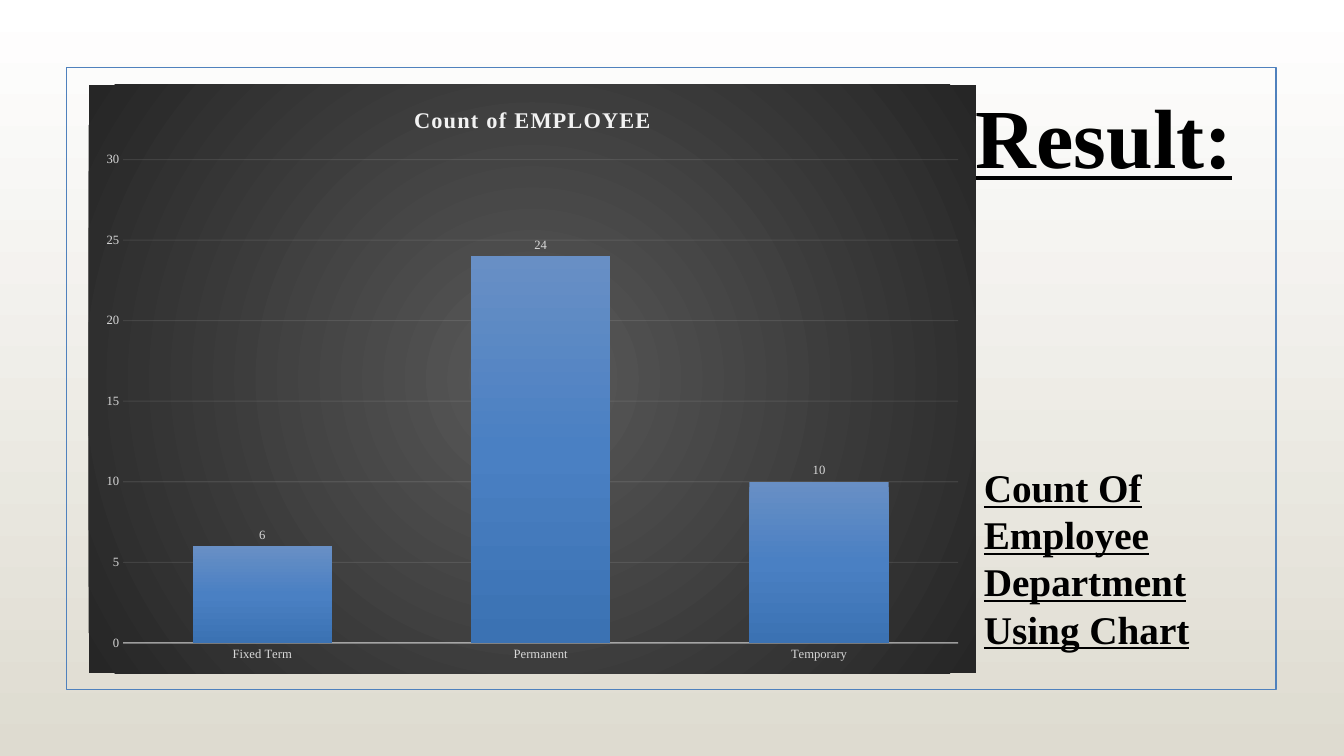
"""Build the result slide: a framed column chart with its heading and caption."""
from dataclasses import dataclass

from lxml import etree
from pptx import Presentation
from pptx.chart.data import CategoryChartData
from pptx.dml.color import RGBColor as RGB
from pptx.enum.chart import XL_CHART_TYPE as Kind
from pptx.enum.chart import XL_LABEL_POSITION as Spot
from pptx.enum.chart import XL_TICK_MARK as Tick
from pptx.enum.shapes import MSO_SHAPE as Shape
from pptx.oxml import parse_xml
from pptx.oxml.ns import nsdecls, qn
from pptx.util import Inches, Pt


@dataclass(frozen=True)
class Theme:
    """Colours, font and type sizes of the slide."""
    font: str = "Times New Roman"
    ink: str = "000000"
    edge: str = "4F81BD"
    pale: str = "F2F2F2"
    soft: str = "D9D9D9"
    page: tuple = ("FFFFFF", "DEDBD0")
    dark: tuple = ("595959", "262626")
    bars: tuple = ("688FC5", "4A80C3", "3B72B3")
    head: int = 60
    note: int = 28
    title: int = 16
    tick: int = 9


LOOK = Theme()
DOWN = '<a:lin ang="5400000" scaled="0"/>'
ROUND = ('<a:path path="circle"><a:fillToRect l="50000" t="50000" '
         'r="50000" b="50000"/></a:path>')


def blend(fill, owner, hues, way):
    """Give a fill evenly spaced gradient stops that run the given way."""
    fill.solid()
    step = 100000 // (len(hues) - 1)
    stops = "".join(f'<a:gs pos="{i * step}"><a:srgbClr val="{hue}"/></a:gs>'
                    for i, hue in enumerate(hues))
    grad = parse_xml(f'<a:gradFill {nsdecls("a")} rotWithShape="1">'
                     f'<a:gsLst>{stops}</a:gsLst>{way}</a:gradFill>')
    old = next(owner.iter(qn("a:solidFill")))
    old.getparent().replace(old, grad)


def style(font, size, hue, bold=False, under=False):
    """Set the face, size, colour and weight of a font."""
    font.name, font.size = LOOK.font, Pt(size)
    font.bold, font.underline = bold, under
    font.color.rgb = RGB.from_string(hue)


def rule(line, width, share):
    """Draw a pale chart line with the given percentage of opacity."""
    line.width = Pt(width)
    line.color.rgb = RGB.from_string(LOOK.pale)
    hue = next(line.fill._xPr.iter(qn("a:srgbClr")))
    etree.SubElement(hue, qn("a:alpha")).set("val", str(share * 1000))


def frame(slide, *box):
    """Add the thin outline around the content."""
    rect = slide.shapes.add_shape(Shape.RECTANGLE, *map(Inches, box))
    rect.shadow.inherit = False
    rect.fill.background()
    rect.line.color.rgb = RGB.from_string(LOOK.edge)
    rect.line.width = Pt(1.25)


def label(slide, text, size, *box):
    """Add a bold underlined text box."""
    area = slide.shapes.add_textbox(*map(Inches, box)).text_frame
    area.word_wrap = True
    run = area.paragraphs[0].add_run()
    run.text = text
    style(run.font, size, LOOK.ink, True, True)


def dress(chart):
    """Style the title, axes and backdrop of the chart."""
    run = chart.chart_title.text_frame.paragraphs[0].add_run()
    run.text = "Count of EMPLOYEE"
    style(run.font, LOOK.title, LOOK.pale, True)
    run.font._element.set("spc", "100")
    chart.chart_title.include_in_layout = False
    for axis in (chart.category_axis, chart.value_axis):
        axis.major_tick_mark = axis.minor_tick_mark = Tick.NONE
        style(axis.tick_labels.font, LOOK.tick, LOOK.soft)
    rule(chart.category_axis.format.line, 1, 54)
    scale = chart.value_axis
    scale.minimum_scale, scale.maximum_scale, scale.major_unit = 0, 30, 5
    scale.format.line.fill.background()
    rule(scale.major_gridlines.format.line, 0.75, 10)


def back(chart):
    """Fill the chart area with a round dark gradient and no outline."""
    root = chart._chartSpace
    area = parse_xml(f'<c:spPr {nsdecls("c", "a")}><a:solidFill/>'
                     '<a:ln><a:noFill/></a:ln></c:spPr>')
    root.find(qn("c:chart")).addnext(area)
    from_area = FillFormat.from_fill_parent(area)
    blend(from_area, area, LOOK.dark, ROUND)


def graph(slide, *box):
    """Add the column chart of employees by contract."""
    data = CategoryChartData()
    data.categories = ["Fixed Term", "Permanent", "Temporary"]
    data.add_series("Count of EMPLOYEE", (6, 24, 10))
    chart = slide.shapes.add_chart(
        Kind.COLUMN_CLUSTERED, *map(Inches, box), data).chart
    style(chart.font, 10, LOOK.ink)
    chart.has_legend = False
    dress(chart)
    back(chart)
    plot = chart.plots[0]
    plot.gap_width, plot.overlap = 100, -24
    plot.vary_by_categories = False
    bars = plot.series[0]
    blend(bars.format.fill, bars._element, LOOK.bars, DOWN)
    tags = bars.data_labels
    tags.show_value, tags.position = True, Spot.OUTSIDE_END
    style(tags.font, LOOK.tick, LOOK.soft)


def main():
    """Build and save the slide."""
    deck = Presentation()
    deck.slide_width, deck.slide_height = Inches(13.33), Inches(7.5)
    slide = deck.slides.add_slide(deck.slide_layouts[6])
    blend(slide.background.fill, slide._element, LOOK.page, DOWN)
    frame(slide, 0.66, 0.67, 12, 6.17)
    label(slide, "Count Of Employee Department Using Chart", LOOK.note,
          9.66, 4.55, 2.24, 2.39)
    label(slide, "Result:", LOOK.head, 9.58, 0.79, 7.28, 1.11)
    graph(slide, 0.88, 0.84, 8.8, 5.84)
    deck.save("out.pptx")


from pptx.dml.fill import FillFormat

if __name__ == "__main__":
    main()
